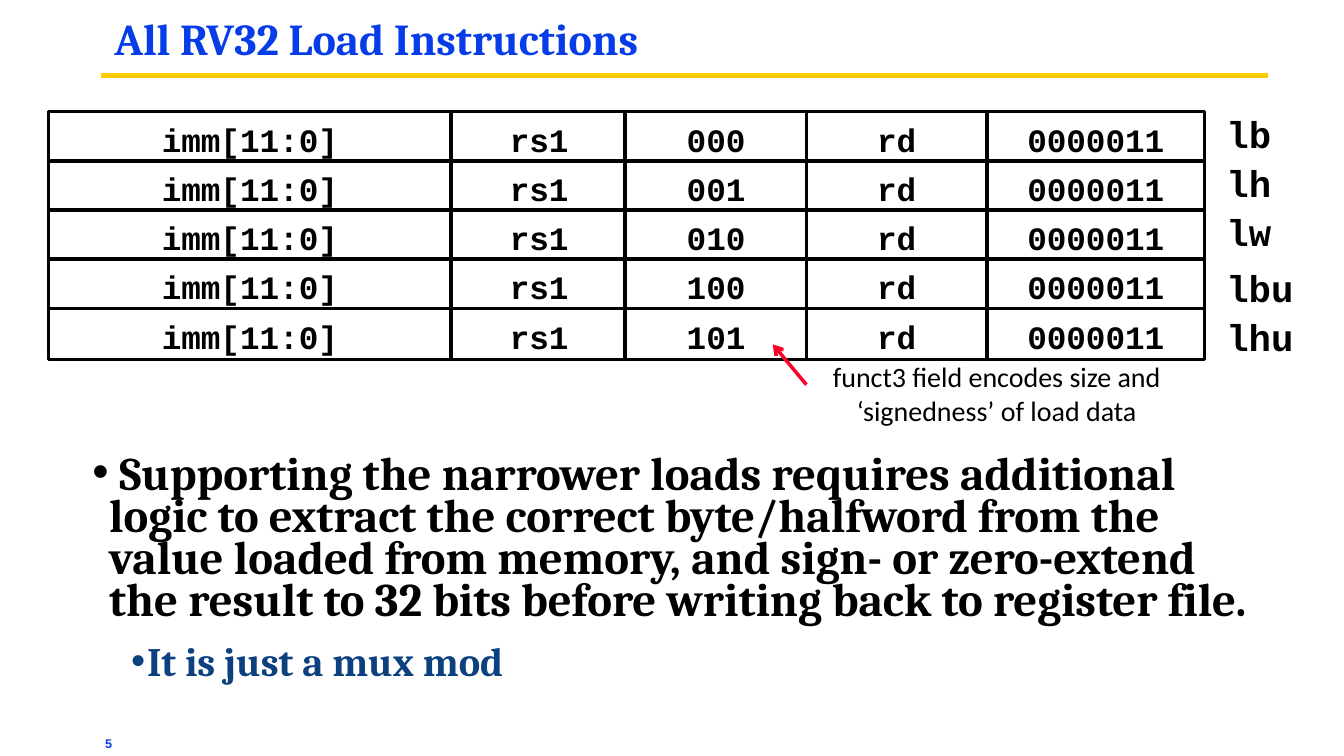
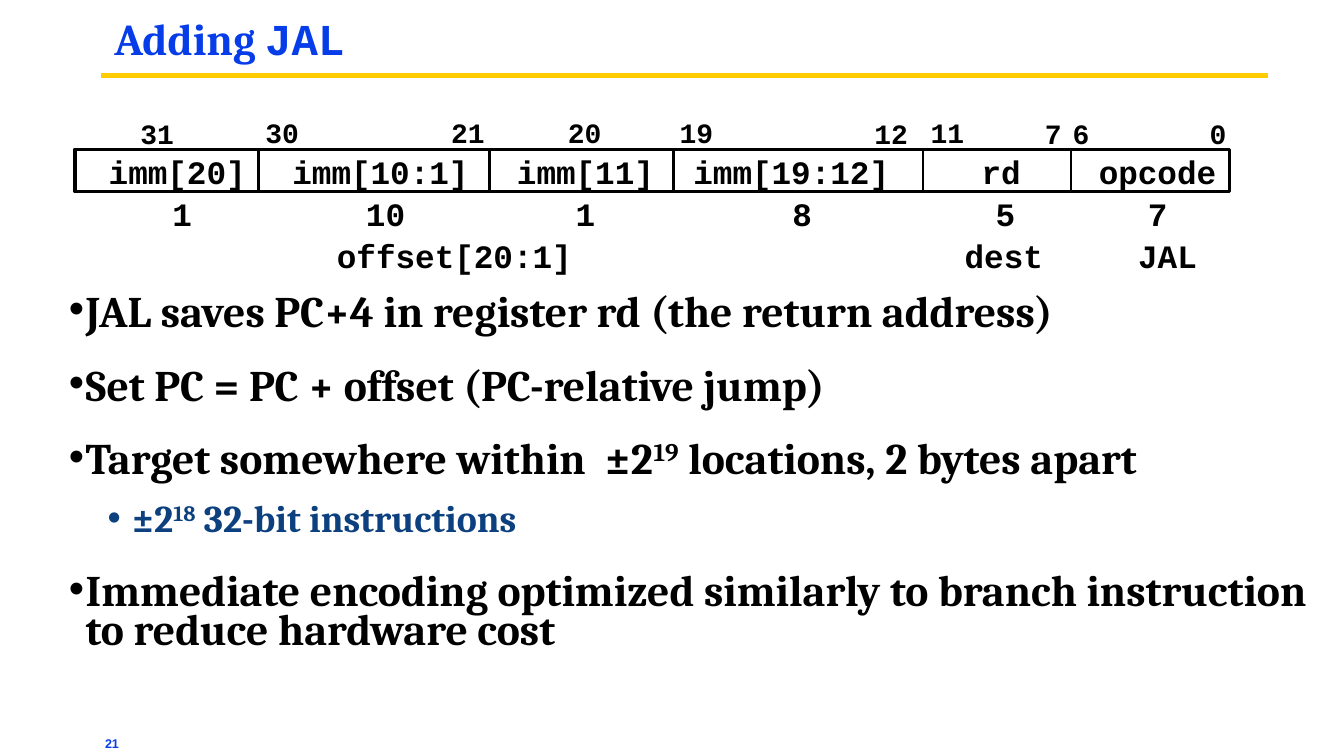
import pptx
import pptx.dml.color
import pptx.enum.shapes
import pptx.enum.text
import pptx.oxml
import pptx.oxml.ns
import pptx.util
from lxml import etree

Inches = pptx.util.Inches
Pt = pptx.util.Pt
ALIGN = pptx.enum.text.PP_ALIGN
ANCHOR = pptx.enum.text.MSO_ANCHOR
FIT = pptx.enum.text.MSO_AUTO_SIZE
STRAIGHT = pptx.enum.shapes.MSO_CONNECTOR.STRAIGHT

BLUE, NAVY, GOLD, RED = "063DE8", "0D407F", "FFCC00", "FC0128"
BLACK, WHITE = "000000", "FFFFFF"
SERIF, MONO, SANS, NOTE = "Cambria", "Courier New", "Arial", "Calibri"


# Basic helpers
def color(code):
    return pptx.dml.color.RGBColor.from_string(code)


def node(parent, tag, **attrs):
    return etree.SubElement(parent, pptx.oxml.ns.qn(tag), attrs)


def text(par, words, size=28, font=MONO, ink=BLACK, bold=True, sup=False):
    run = par.add_run()
    run.text = words
    run.font.size = Pt(size)
    run.font.name = font
    run.font.bold = bold
    run.font.color.rgb = color(ink)
    if sup:
        run._r.get_or_add_rPr().set("baseline", "30000")


def place(shape, box):
    shape.left, shape.top, shape.width, shape.height = map(Inches, box)


def inset(frame, gap=0.02):
    frame.margin_left = frame.margin_right = Inches(gap)
    frame.margin_top = frame.margin_bottom = Inches(gap)
    frame.vertical_anchor = ANCHOR.TOP
    frame.auto_size = FIT.NONE
    frame.word_wrap = True


def label(slide, box, words, align=ALIGN.CENTER, wrap=True, **style):
    frame = slide.shapes.add_textbox(*map(Inches, box)).text_frame
    frame.word_wrap = wrap
    frame.paragraphs[0].alignment = align
    text(frame.paragraphs[0], words, **style)
    return frame


def code(slide, mid, top, words, size=28):
    """Unwrapped fixed-width label, centred on mid."""
    width = 0.2 + len(words) * size / 120
    box = (mid - width / 2, top, width, 0.1 + size / 60)
    label(slide, box, words, wrap=False, size=size)


def rule(slide, start, end, ink=BLACK, width=2.25, arrow=False):
    line = slide.shapes.add_connector(STRAIGHT, *map(Inches, start + end))
    line.line.color.rgb = color(ink)
    line.line.width = Pt(width)
    if arrow:
        node(line.line._get_or_add_ln(), "a:tailEnd", type="arrow")
    node(line._element.spPr, "a:effectLst")


def block(slide, box, fill=None):
    """Rectangle with a heavy black outline."""
    shape = slide.shapes.add_shape(
        pptx.enum.shapes.MSO_SHAPE.RECTANGLE, *map(Inches, box))
    shape.shadow.inherit = False
    if fill:
        shape.fill.solid()
        shape.fill.fore_color.rgb = color(fill)
    else:
        shape.fill.background()
    shape.line.color.rgb = color(BLACK)
    shape.line.width = Pt(3)
    return shape


# Shared frame: title, gold rule, page number
def page(deck, title, number):
    slide = deck.slides.add_slide(deck.slide_layouts[1])
    place(slide.shapes.title, (1.34, 0.2, 10.12, 0.7))
    frame = slide.shapes.title.text_frame
    inset(frame)
    par = frame.paragraphs[0]
    par.alignment = ALIGN.LEFT
    par.line_spacing = 0.87
    for words, font in title:
        text(par, words, size=37.8, font=font, ink=BLUE)
    rule(slide, (1.2, 0.9), (15.1, 0.9), GOLD, 4.5)
    inset(label(slide, (1.23, 8.74, 8.69, 0.23), number, align=ALIGN.LEFT,
                size=10.8, font=SANS, ink=BLUE))
    return slide


# Bullet list: items are (level, parts); every second part is superscript
def bullets(slide, box, items, sizes):
    body = slide.placeholders[1]
    place(body, box)
    frame = body.text_frame
    inset(frame)
    looks = [(0.2, -0.2, 0.75, 29.7, BLACK), (0.65, -0.19, 0.85, 16.2, NAVY)]
    for i, (level, parts) in enumerate(items):
        par = frame.add_paragraph() if i else frame.paragraphs[0]
        left, hang, lead, before, ink = looks[level]
        par.level = level
        par.alignment = ALIGN.LEFT
        par.line_spacing = lead
        par.space_before = Pt(before)
        prop = par._p.get_or_add_pPr()
        prop.set("marL", str(Inches(left)))
        prop.set("indent", str(Inches(hang)))
        node(node(prop, "a:buClr"), "a:srgbClr", val=ink)
        node(prop, "a:buFont", typeface=SANS)
        node(prop, "a:buChar", char="•")
        for j, words in enumerate(parts):
            text(par, words, size=sizes[level], font=SERIF, ink=ink,
                 sup=j % 2 == 1)


# Stacked instruction words, with mnemonics to the right
def loads(slide, left, top):
    cols = [(0, 4.79), (4.79, 2.1), (6.86, 2.17), (9.02, 2.15), (11.17, 2.59)]
    ops = [("000", "lb", -0.05), ("001", "lh", 0.53), ("010", "lw", 1.11),
           ("100", "lbu", 1.78), ("101", "lhu", 2.36)]
    step = 2.34 / (len(ops) - 1)
    for i, (funct, name, drop) in enumerate(ops):
        words = ["imm[11:0]", "rs1", funct, "rd", "0000011"]
        for (x, width), word in zip(cols, words):
            entry(slide, (left + x, top + i * step, width, 0.61), word)
        wide = 0.2 + len(name) * 32 / 120
        code(slide, left + 13.92 + wide / 2, top + drop, name, 32)


def entry(slide, box, words):
    frame = block(slide, box, WHITE).text_frame
    frame.margin_top, frame.margin_bottom = Inches(0.05), 0
    frame.vertical_anchor = ANCHOR.MIDDLE
    frame.paragraphs[0].alignment = ALIGN.CENTER
    text(frame.paragraphs[0], words)


# Bit layout of one instruction word; offsets are from the bar
def layout(slide, left, top, width, height):
    block(slide, (left, top, width, height))
    for x in (2.19, 4.94, 7.13, 10.1, 11.86):
        rule(slide, (left + x, top), (left + x, top + height))
    rows = [
        (-0.45, 24, [(2.47, "30"), (4.68, "21"), (6.07, "20"),
                     (7.4, "19"), (10.39, "11")]),
        (-0.44, 24, [(0.98, "31"), (9.72, "12"), (11.65, "7"),
                     (11.98, "6"), (13.61, "0")]),
        (-0.02, 28, [(1.22, "imm[20]"), (3.64, "imm[10:1]"),
                     (6.08, "imm[11]"), (8.53, "imm[19:12]"),
                     (11.03, "rd"), (12.89, "opcode")]),
        (0.48, 28, [(1.28, "1"), (3.7, "10"), (6.08, "1"), (8.66, "8"),
                    (11.08, "5"), (12.89, "7")]),
        (0.98, 28, [(4.52, "offset[20:1]"), (11.06, "dest"),
                    (13.01, "JAL")]),
    ]
    for drop, size, marks in rows:
        for x, words in marks:
            code(slide, left + x, top + drop, words, size)


def main():
    deck = pptx.Presentation()
    deck.slide_width, deck.slide_height = Inches(16), Inches(9)

    # Load instructions
    slide = page(deck, [("All RV32 Load Instructions", SERIF)], "5")
    bullets(slide, (1.08, 5.42, 13.92, 1.92), [
        (0, [" Supporting the narrower loads requires additional logic to "
             "extract the correct byte/halfword from the value loaded from "
             "memory, and sign- or zero-extend the result to 32 bits before "
             "writing back to register file."]),
        (1, ["It is just a mux mod"]),
    ], (40, 34.6))
    loads(slide, 0.58, 1.33)
    label(slide, (9.33, 4.23, 5.07, 0.91),
          "funct3 field encodes size and ‘signedness’ of load data",
          size=24, font=NOTE, bold=False)
    rule(slide, (9.6, 4.58), (9.2, 4.1), RED, 3, arrow=True)

    # Jump and link
    slide = page(deck, [("Adding ", SERIF), ("JAL", MONO)], "21")
    bullets(slide, (0.8, 3.5, 14.8, 4.92), [
        (0, ["JAL saves PC+4 in register rd (the return address)"]),
        (0, ["Set PC = PC + offset (PC-relative jump)"]),
        (0, ["Target somewhere within  ±2", "19",
             " locations, 2 bytes apart"]),
        (1, [" ±2", "18", " 32-bit instructions"]),
        (0, ["Immediate encoding optimized similarly to branch instruction "
             "to reduce hardware cost"]),
    ], (37.4, 32.4))
    layout(slide, 0.89, 1.78, 13.75, 0.5)

    deck.save("out.pptx")


if __name__ == "__main__":
    main()
